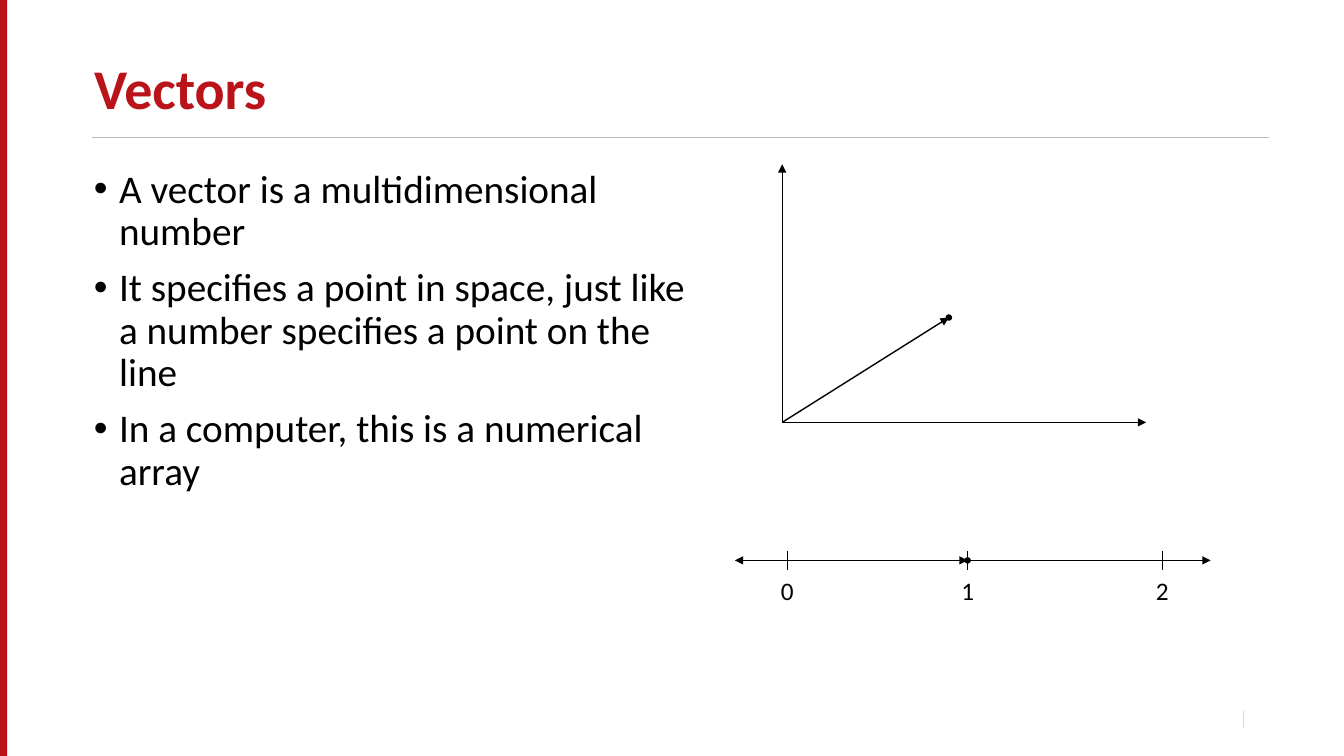
"""Build the slide that introduces vectors beside a plane and a number line."""
from dataclasses import dataclass
from typing import Any

from lxml.etree import SubElement
from pptx import Presentation
from pptx.dml.color import RGBColor
from pptx.enum.shapes import MSO_CONNECTOR as Connector, MSO_SHAPE as Preset
from pptx.enum.text import MSO_ANCHOR as Anchor, MSO_AUTO_SIZE as Fit, PP_ALIGN as Align
from pptx.oxml.ns import qn
from pptx.slide import Slide
from pptx.util import Inches, Pt


@dataclass(frozen=True)
class Theme:
    font: str = "Calibri"
    accent: RGBColor = RGBColor(0xBA, 0x14, 0x1A)
    ink: RGBColor = RGBColor(0, 0, 0)
    rule: RGBColor = RGBColor(0xBA, 0xBA, 0xBA)
    faint: RGBColor = RGBColor(0xD9, 0xD9, 0xD9)
    title_size: int = 40
    body_size: int = 28
    label_size: int = 18
    thin: float = 0.5
    thick: float = 1


@dataclass(frozen=True)
class Line:
    start: tuple[float, float]
    end: tuple[float, float]
    color: RGBColor
    weight: float
    arrows: tuple[str, ...] = ()


@dataclass(frozen=True)
class Area:
    left: float
    top: float
    width: float
    height: float


THEME = Theme()
WIDTH, HEIGHT = Inches(13.33), Inches(7.5)
BULLETS = (
    "A vector is a multidimensional number",
    "It specifies a point in space, just like a number specifies a point on the line",
    "In a computer, this is a numerical array",
)
MARGIN, CONTENT_TOP = 6.25, 21.73
TITLE_AREA = Area(MARGIN, 2.4, 88.2, 19.33)
BODY_AREA = Area(MARGIN, CONTENT_TOP, 46.2, 68.27)
EDGE_BAR = Area(0, 0, 0.53, 100)
ORIGIN, VECTOR_TIP = (58.2, 55.87), (70.6, 42)
NUMBER_LINE_Y, TICK_REACH = 74.13, 1.27
TICKS = {"0": 58.58, "1": 72, "2": 86.48}
LABEL_WIDTH, LABEL_HEIGHT = 2.48, 5.33
DOT_INCHES = 0.05


def across(share: float) -> int:
    """Turn a percentage of the slide's width into a length."""
    return round(WIDTH * share / 100)


def down(share: float) -> int:
    """Turn a percentage of the slide's height into a length."""
    return round(HEIGHT * share / 100)


def bounds(area: Area) -> tuple[int, int, int, int]:
    """Return an area's left, top, width and height as lengths."""
    return across(area.left), down(area.top), across(area.width), down(area.height)


def apply(target: Any, formats: dict[str, Any]) -> None:
    """Set each named format value on the target."""
    for name, value in formats.items():
        setattr(target, name, value)


def write(para: Any, text: str, size: int, color: RGBColor, bold: bool = False) -> None:
    """Add one formatted span to a paragraph."""
    span = para.add_run()
    span.text = text
    apply(span.font, {"name": THEME.font, "size": Pt(size), "bold": bold})
    span.font.color.rgb = color


def add_line(page: Slide, line: Line) -> None:
    """Draw a straight line with optional arrowheads."""
    (x1, y1), (x2, y2) = line.start, line.end
    connector = page.shapes.add_connector(
        Connector.STRAIGHT, across(x1), down(y1), across(x2), down(y2))
    connector.line.width = Pt(line.weight)
    connector.line.color.rgb = line.color
    properties = connector.line._get_or_add_ln()
    for arrow in line.arrows:
        SubElement(properties, qn(f"a:{arrow}"), type="triangle")
    SubElement(connector._element.spPr, qn("a:effectLst"))


def add_solid(page: Slide, preset: Preset, box: tuple[int, int, int, int], color: RGBColor) -> Any:
    """Add a filled shape without outline or shadow."""
    shape = page.shapes.add_shape(preset, *box)
    shape.shadow.inherit = False
    shape.fill.solid()
    shape.fill.fore_color.rgb = color
    shape.line.fill.background()
    return shape


def add_dot(page: Slide, center: tuple[float, float]) -> None:
    """Mark a point with a small outlined dot."""
    size = Inches(DOT_INCHES)
    left, top = across(center[0]) - size // 2, down(center[1]) - size // 2
    dot = add_solid(page, Preset.OVAL, (left, top, size, size), THEME.ink)
    dot.line.color.rgb = THEME.ink
    dot.line.width = Pt(THEME.thick)


def add_title(page: Slide, text: str) -> None:
    """Place and format the title placeholder."""
    title = page.shapes.title
    apply(title, dict(zip(("left", "top", "width", "height"), bounds(TITLE_AREA))))
    apply(title.text_frame, {"vertical_anchor": Anchor.MIDDLE, "auto_size": Fit.NONE,
                             "word_wrap": True})
    para = title.text_frame.paragraphs[0]
    apply(para, {"alignment": Align.LEFT, "line_spacing": 0.9})
    write(para, text, THEME.title_size, THEME.accent, bold=True)


def add_bullets(page: Slide, items: tuple[str, ...]) -> None:
    """Add the bulleted body text."""
    frame = page.shapes.add_textbox(*bounds(BODY_AREA)).text_frame
    frame.word_wrap = True
    for index, item in enumerate(items):
        para = frame.add_paragraph() if index else frame.paragraphs[0]
        apply(para, {"line_spacing": 0.9, "space_before": Pt(10)})
        properties = para._p.get_or_add_pPr()
        indent = Inches(0.25)
        properties.set("marL", str(indent))
        properties.set("indent", str(-indent))
        SubElement(properties, qn("a:buFont"), typeface="Arial")
        SubElement(properties, qn("a:buChar"), char="•")
        write(para, item, THEME.body_size, THEME.ink)


def add_tick(page: Slide, label: str, x: float) -> None:
    """Draw one tick of the number line with its label below."""
    bottom = NUMBER_LINE_Y + TICK_REACH
    add_line(page, Line((x, NUMBER_LINE_Y - TICK_REACH), (x, bottom), THEME.ink, THEME.thin))
    area = Area(x - LABEL_WIDTH / 2, bottom, LABEL_WIDTH, LABEL_HEIGHT)
    frame = page.shapes.add_textbox(*bounds(area)).text_frame
    apply(frame, {"word_wrap": False, "auto_size": Fit.SHAPE_TO_FIT_TEXT})
    frame.paragraphs[0].alignment = Align.CENTER
    write(frame.paragraphs[0], label, THEME.label_size, THEME.ink)


def main() -> None:
    """Assemble and save the deck."""
    deck = Presentation()
    apply(deck, {"slide_width": WIDTH, "slide_height": HEIGHT})
    page = deck.slides.add_slide(deck.slide_layouts[5])
    add_solid(page, Preset.RECTANGLE, bounds(EDGE_BAR), THEME.accent)
    add_title(page, "Vectors")
    add_bullets(page, BULLETS)
    zero, one = ((TICKS[label], NUMBER_LINE_Y) for label in "01")
    end = ("tailEnd",)
    lines = (
        Line((6.83, 18.13), (94.43, 18.13), THEME.rule, THEME.thin),
        Line((92.55, 94), (92.55, 96.27), THEME.faint, THEME.thin),
        Line((54.68, NUMBER_LINE_Y), (90.08, NUMBER_LINE_Y), THEME.ink, THEME.thin,
             ("headEnd", "tailEnd")),
        Line(zero, one, THEME.ink, THEME.thick, end),
        Line(ORIGIN, (ORIGIN[0], CONTENT_TOP), THEME.ink, THEME.thin, end),
        Line(ORIGIN, (85.28, ORIGIN[1]), THEME.ink, THEME.thin, end),
        Line(ORIGIN, VECTOR_TIP, THEME.ink, THEME.thick, end),
    )
    for line in lines:
        add_line(page, line)
    for label, x in TICKS.items():
        add_tick(page, label, x)
    for point in (one, VECTOR_TIP):
        add_dot(page, point)
    deck.save("out.pptx")


if __name__ == "__main__":
    main()
